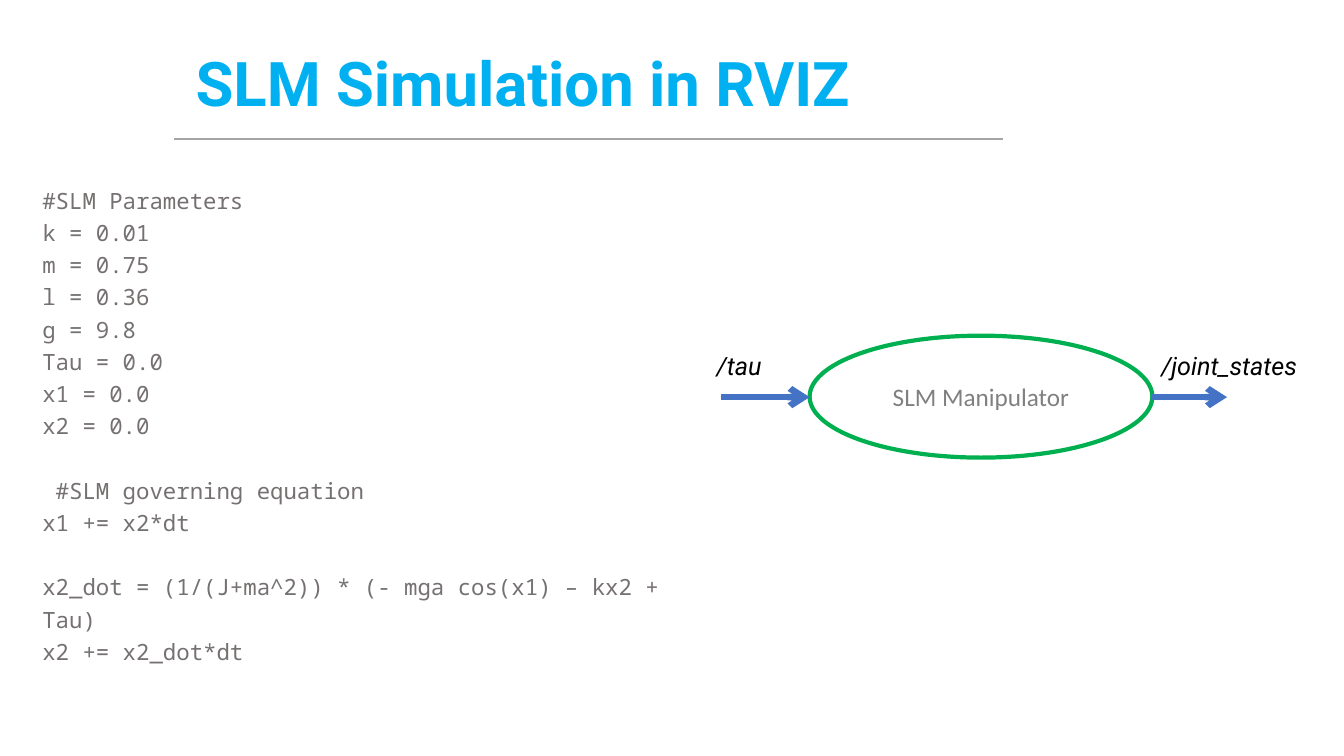
"""Build the slide on simulating a single-link manipulator."""
from dataclasses import dataclass

from lxml import etree
from pptx import Presentation
from pptx.dml.color import RGBColor
from pptx.enum.shapes import MSO_CONNECTOR, MSO_SHAPE
from pptx.enum.text import MSO_ANCHOR, MSO_AUTO_SIZE, PP_ALIGN
from pptx.oxml.ns import qn
from pptx.util import Inches, Pt

STRAIGHT = MSO_CONNECTOR.STRAIGHT
OVAL = MSO_SHAPE.OVAL
MIDDLE, TOP = MSO_ANCHOR.MIDDLE, MSO_ANCHOR.TOP
NO_FIT, GROW = MSO_AUTO_SIZE.NONE, MSO_AUTO_SIZE.SHAPE_TO_FIT_TEXT
LEFT, CENTER = PP_ALIGN.LEFT, PP_ALIGN.CENTER

COLORS = {"title": "00B0F0", "code": "767171", "rule": "A5A5A5", "node": "00B050",
          "name": "808080", "arrow": "4472C4", "topic": "000000"}
AXIS = 3.94
CODE_PT = 16
GAP = 23

BLOCKS = [
    ["#SLM Parameters", "k = 0.01", "m = 0.75", "l = 0.36", "g = 9.8",
     "Tau = 0.0", "x1 = 0.0", "x2 = 0.0"],
    [" #SLM governing equation", "x1 += x2*dt"],
    ["x2_dot = (1/(J+ma^2)) * (- mga cos(x1) – kx2 + Tau)", "x2 += x2_dot*dt"],
]


@dataclass
class Style:
    """Look of one run of text."""
    font: str
    size: int
    color: str
    bold: bool = False
    italic: bool = False


@dataclass
class Line:
    """Level line, with or without an arrowhead."""
    start: float
    end: float
    y: float
    color: str
    width: float
    arrow: bool = False


@dataclass
class Topic:
    """Label above an arrow."""
    text: str
    left: float
    width: float


LINES = [Line(1.73, 9.95, 1.38, "rule", 1.5),
         Line(7.15, 8.03, AXIS, "arrow", 4.5, True),
         Line(11.43, 12.17, AXIS, "arrow", 4.5, True)]
TOPICS = [Topic("/tau", 7.01, 0.75), Topic("/joint_states", 11.42, 1.84)]

TITLE = Style("Roboto", 44, "title", bold=True)
CODE = Style("Noto Sans Mono", CODE_PT, "code")
NAME = Style("Calibri", 18, "name")
LABEL = Style("Roboto", 18, "topic", italic=True)


def paint(key: str) -> RGBColor:
    """Return the named colour."""
    return RGBColor.from_string(COLORS[key])


def write(para, text: str, style: Style) -> None:
    """Add one styled run."""
    run = para.add_run()
    run.text = text
    font = run.font
    font.name, font.size = style.font, Pt(style.size)
    font.bold, font.italic = style.bold, style.italic
    font.color.rgb = paint(style.color)


def place(shape, left: float, top: float, width: float, height: float) -> None:
    """Move and size a shape."""
    shape.left, shape.top = Inches(left), Inches(top)
    shape.width, shape.height = Inches(width), Inches(height)


def add_title(slide) -> None:
    """Fill the title."""
    title = slide.shapes.title
    place(title, 1.84, 0.13, 8.92, 1.45)
    frame = title.text_frame
    frame.auto_size, frame.vertical_anchor = NO_FIT, MIDDLE
    para = frame.paragraphs[0]
    para.alignment, para.line_spacing = LEFT, 0.9
    write(para, "SLM Simulation in RVIZ", TITLE)


def add_code(slide) -> None:
    """Fill the body with the code blocks."""
    body = slide.placeholders[1]
    place(body, 0.32, 1.75, 6.46, 5.34)
    frame = body.text_frame
    frame.auto_size, frame.vertical_anchor = NO_FIT, TOP
    frame.word_wrap = True
    for num, block in enumerate(BLOCKS):
        for row, text in enumerate(block):
            first = num == row == 0
            para = frame.paragraphs[0] if first else frame.add_paragraph()
            props = para._p.get_or_add_pPr()
            props.set("marL", "0")
            props.set("indent", "0")
            etree.SubElement(props, qn("a:buNone"))
            para.alignment, para.line_spacing = LEFT, 1.2
            para.space_before = Pt(GAP if num and not row else 0)
            write(para, text, CODE)


def add_line(slide, line: Line) -> None:
    """Draw a level line."""
    y = Inches(line.y)
    link = slide.shapes.add_connector(
        STRAIGHT, Inches(line.start), y, Inches(line.end), y)
    link.line.color.rgb = paint(line.color)
    link.line.width = Pt(line.width)
    if line.arrow:
        etree.SubElement(link.line._get_or_add_ln(), qn("a:tailEnd"), type="arrow")
    etree.SubElement(link._element.spPr, qn("a:effectLst"))


def add_node(slide) -> None:
    """Draw the manipulator node."""
    node = slide.shapes.add_shape(
        OVAL, Inches(8.03), Inches(3.33), Inches(3.4), Inches(1.21))
    node.shadow.inherit = False
    node.fill.background()
    node.line.color.rgb = paint("node")
    node.line.width = Pt(3)
    frame = node.text_frame
    frame.vertical_anchor = MIDDLE
    frame.paragraphs[0].alignment = CENTER
    write(frame.paragraphs[0], "SLM Manipulator", NAME)


def add_topic(slide, topic: Topic) -> None:
    """Add the label of an arrow."""
    box = slide.shapes.add_textbox(
        Inches(topic.left), Inches(3.43), Inches(topic.width), Inches(0.4))
    frame = box.text_frame
    frame.word_wrap, frame.auto_size = True, GROW
    write(frame.paragraphs[0], topic.text, LABEL)


def main() -> None:
    """Build and save the slide."""
    deck = Presentation()
    deck.slide_width, deck.slide_height = Inches(13.33), Inches(7.5)
    slide = deck.slides.add_slide(deck.slide_layouts[1])
    add_title(slide)
    add_code(slide)
    add_node(slide)
    for line in LINES:
        add_line(slide, line)
    for topic in TOPICS:
        add_topic(slide, topic)
    deck.save("out.pptx")


if __name__ == "__main__":
    main()
